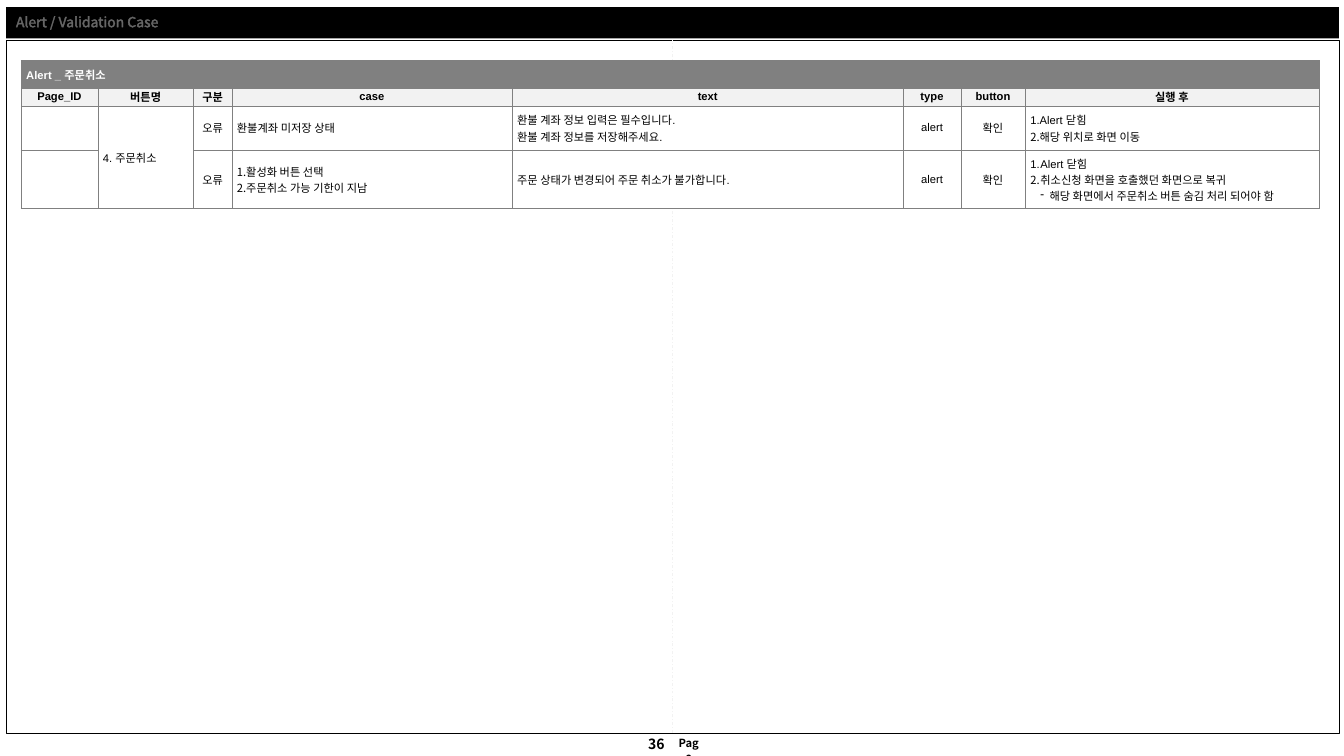
"""Builds the alert and validation case slide with its order cancel table."""
from dataclasses import dataclass

from lxml.etree import SubElement as Sub
from pptx import Presentation
from pptx.dml.color import RGBColor as Rgb
from pptx.enum.dml import MSO_LINE as Dash
from pptx.enum.shapes import MSO_CONNECTOR as Conn, MSO_SHAPE as Kind
from pptx.enum.text import MSO_ANCHOR as Anchor, PP_ALIGN as Align
from pptx.oxml.ns import qn
from pptx.util import Emu, Pt

UNIT = 9144
WIDE, HIGH = 1333, 750
INK = {"black": "000000", "white": "FFFFFF", "gray": "808080", "pale": "F2F2F2"}
KOR, LAT = "Noto Sans CJK KR", "Arial"
COLS = (76, 95, 38, 278, 388, 57, 64, 291)
ROWS = (27, 18, 44, 58)
HEADS = ("Page_ID", "버튼명", "구분", "case", "text", "type", "button", "실행 후")


@dataclass
class Box:
    left: float
    top: float
    wide: float
    high: float

    def area(self) -> tuple:
        return tuple(cells(n) for n in (self.left, self.top, self.wide, self.high))


@dataclass
class Line:
    text: str
    mark: str = ""
    step: int = 9
    lead: int = 0


@dataclass
class Entry:
    row: int
    col: int
    lines: tuple
    align: Align = Align.LEFT
    fill: str = "white"
    ink: str = "black"
    bold: bool = False
    pad: int = 5


def cells(count: float) -> Emu:
    return Emu(round(count * UNIT))


def tint(name: str) -> Rgb:
    return Rgb.from_string(INK[name])


def apply(target, values: dict) -> None:
    for name, value in values.items():
        setattr(target, name, value)


def write(para, text: str, size: float, ink: str, bold: bool, face: str):
    run = para.add_run()
    run.text = text
    apply(run.font, {"size": Pt(size), "bold": bold, "name": face})
    run.font.color.rgb = tint(ink)
    Sub(run.font._element, qn("a:ea"), typeface=KOR)
    return run


def bullet(para, line: Line) -> None:
    props = para._p.get_or_add_pPr()
    props.set("marL", str(cells(line.step)))
    props.set("indent", str(cells(-10 if line.step == 10 else -9)))
    if line.mark == "1.":
        Sub(props, qn("a:buAutoNum"), type="arabicPeriod")
    else:
        Sub(props, qn("a:buChar"), char=line.mark)


def border(cell) -> None:
    props = cell._tc.get_or_add_tcPr()
    for side in "LRTB":
        edge = Sub(props, qn(f"a:ln{side}"), w=str(Pt(0.25)))
        Sub(Sub(edge, qn("a:solidFill")), qn("a:srgbClr"), val=INK["gray"])


def panel(slide, box: Box, fill: str):
    shape = slide.shapes.add_shape(Kind.RECTANGLE, *box.area())
    shape.shadow.inherit = False
    shape.fill.solid()
    shape.fill.fore_color.rgb = tint(fill)
    return shape


def label(slide, box: Box, text: str, size: float, align: Align) -> None:
    frame = slide.shapes.add_textbox(*box.area()).text_frame
    frame.word_wrap = True
    para = frame.paragraphs[0]
    para.alignment = align
    write(para, text, size, "black", True, KOR)


def back(slide) -> None:
    frame = panel(slide, Box(6, 40, 1322, 687), "white")
    frame.line.color.rgb = tint("black")
    frame.line.width = Pt(0.25)
    axis = slide.shapes.add_connector(Conn.STRAIGHT, 0, 0, 0, 0)
    axis.begin_connect(frame, 2)
    axis.end_connect(frame, 0)
    axis.line.color.rgb = tint("pale")
    apply(axis.line, {"width": Pt(0.5), "dash_style": Dash.DASH_DOT})
    Sub(axis._element.spPr, qn("a:effectLst"))
    label(slide, Box(661, 726, 44, 23), "Page", 8, Align.CENTER)
    label(slide, Box(612, 725, 57, 27), "36", 10, Align.RIGHT)


def title(slide) -> None:
    bar = panel(slide, Box(6, 7, 1322, 31), "black")
    bar.line.fill.background()
    bar.text_frame.vertical_anchor = Anchor.MIDDLE
    para = bar.text_frame.paragraphs[0]
    apply(para, {"alignment": Align.LEFT, "line_spacing": 0.9})
    run = write(para, "Alert / Validation Case", 10, "white", False, KOR)
    edge = Sub(run.font._element, qn("a:ln"), w=str(Pt(0.75)))
    run.font._element.insert(0, edge)
    shade = Sub(Sub(edge, qn("a:solidFill")), qn("a:srgbClr"), val=INK["white"])
    Sub(shade, qn("a:alpha"), val="40000")


def fill(grid, entry: Entry) -> None:
    cell = grid.cell(entry.row, entry.col)
    sides = ("left", "right", "top", "bottom")
    apply(cell, {f"margin_{side}": cells(entry.pad) for side in sides})
    cell.vertical_anchor = Anchor.MIDDLE
    cell.fill.fore_color.rgb = tint(entry.fill)
    frame = cell.text_frame
    for spot, line in enumerate(entry.lines):
        para = frame.add_paragraph() if spot else frame.paragraphs[0]
        para.alignment = entry.align
        if line.lead:
            para.line_spacing = Pt(line.lead)
        if line.mark:
            bullet(para, line)
        write(para, line.text, 8, entry.ink, entry.bold, LAT)


def table(slide) -> None:
    box = Box(21, 60, sum(COLS), sum(ROWS))
    grid = slide.shapes.add_table(len(ROWS), len(COLS), *box.area()).table
    apply(grid, {"first_row": False, "horz_banding": False})
    for col, wide in zip(grid.columns, COLS):
        col.width = cells(wide)
    for row, high in zip(grid.rows, ROWS):
        row.height = cells(high)
    for cell in grid.iter_cells():
        border(cell)
        cell.fill.solid()
        cell.fill.fore_color.rgb = tint("white")
    grid.cell(0, 0).merge(grid.cell(0, len(COLS) - 1))
    grid.cell(2, 1).merge(grid.cell(3, 1))
    mid = Align.CENTER
    top = Entry(0, 0, (Line("Alert _ 주문취소"),), fill="gray", ink="white", bold=True)
    heads = [Entry(1, col, (Line(text),), mid, "pale", bold=True, pad=0)
             for col, text in enumerate(HEADS)]
    tags = [Entry(row, col, (Line(text),), mid) for row in (2, 3)
            for col, text in ((2, "오류"), (5, "alert"), (6, "확인"))]
    body = [
        Entry(2, 1, (Line("4. 주문취소"),)),
        Entry(2, 3, (Line("환불계좌 미저장 상태"),)),
        Entry(2, 4, (Line("환불 계좌 정보 입력은 필수입니다.", lead=12),
                     Line("환불 계좌 정보를 저장해주세요.", lead=12))),
        Entry(2, 7, (Line("Alert 닫힘", "1."), Line("해당 위치로 화면 이동", "1."))),
        Entry(3, 3, (Line("활성화 버튼 선택", "1."),
                     Line("주문취소 가능 기한이 지남", "1."))),
        Entry(3, 4, (Line("주문 상태가 변경되어 주문 취소가 불가합니다.", lead=12),)),
        Entry(3, 7, (Line("Alert 닫힘", "1.", 10),
                     Line("취소신청 화면을 호출했던 화면으로 복귀", "1.", 10),
                     Line("해당 화면에서 주문취소 버튼 숨김 처리 되어야 함", "-", 19))),
    ]
    for entry in (top, *heads, *tags, *body):
        fill(grid, entry)


def main() -> None:
    deck = Presentation()
    apply(deck, {"slide_width": cells(WIDE), "slide_height": cells(HIGH)})
    slide = deck.slides.add_slide(deck.slide_layouts[6])
    back(slide)
    title(slide)
    table(slide)
    deck.save("out.pptx")


if __name__ == "__main__":
    main()
